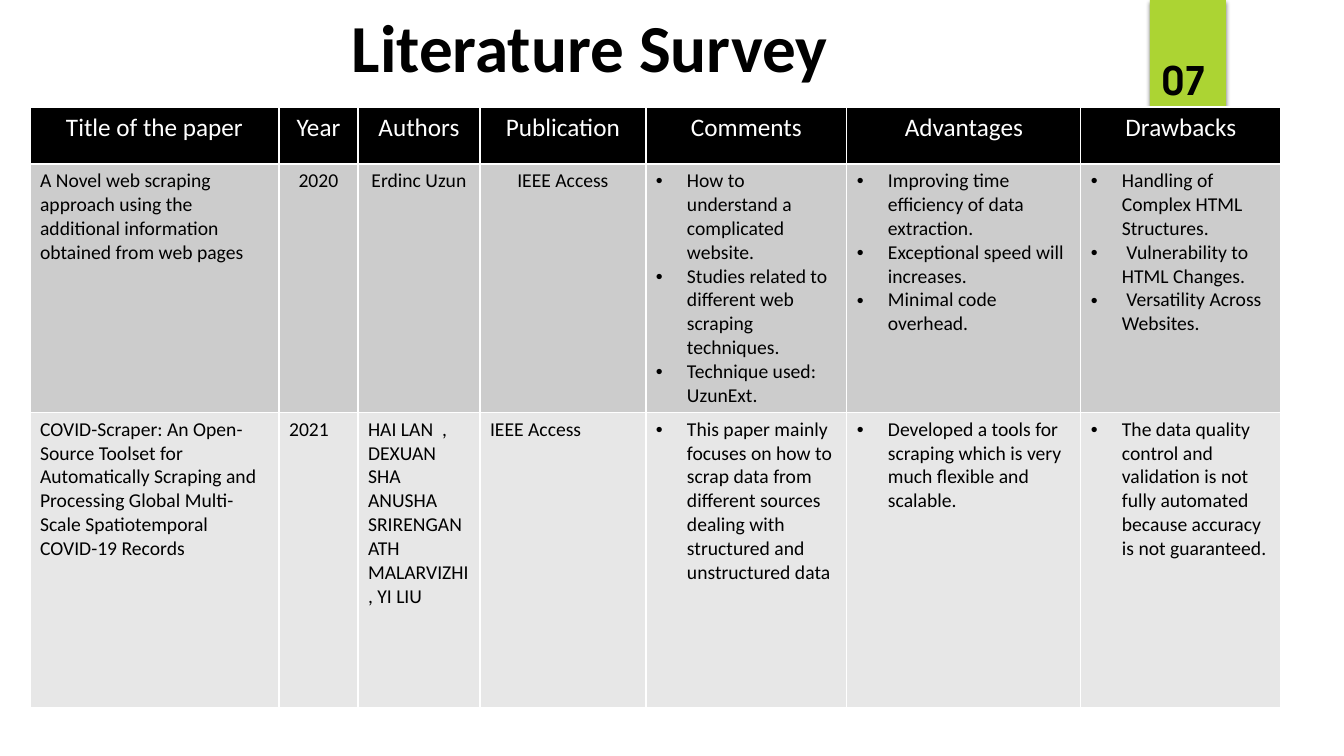
from lxml.etree import SubElement as Sub
from pptx import Presentation
from pptx.dml.color import RGBColor
from pptx.enum.shapes import MSO_SHAPE as Shape
from pptx.enum.text import PP_ALIGN as Align
from pptx.oxml import parse_xml
from pptx.oxml.ns import nsdecls, qn
from pptx.util import Inches, Pt

SCALE = Inches(1) / 100.8


def px(*nums):
    return [round(n * SCALE) for n in nums]


def color(code):
    return RGBColor.from_string(code)


deck = Presentation()
deck.slide_width, deck.slide_height = px(1344, 756)
slide = deck.slides.add_slide(deck.slide_layouts[6])

tab = slide.shapes.add_shape(Shape.RECTANGLE, *px(1150, 0, 76, 126))
tab.fill.solid()
tab.fill.fore_color.rgb = color("ACD433")
tab.line.fill.background()
tab.shadow.inherit = False
tab.element.spPr.find(qn("a:effectLst")).append(parse_xml(
    f'<a:outerShdw {nsdecls("a")} blurRad="38100" dist="25400" dir="5400000" rotWithShape="0">'
    '<a:srgbClr val="000000"><a:alpha val="45000"/></a:srgbClr></a:outerShdw>'))

head = ["Title of the paper", "Year", "Authors", "Publication",
        "Comments", "Advantages", "Drawbacks"]
novel = [
    "A Novel web scraping approach using the additional information obtained from web pages",
    "2020", "Erdinc Uzun", "IEEE Access",
    ["How to understand a complicated website.",
     "Studies related to different web scraping techniques.",
     "Technique used: UzunExt."],
    ["Improving time efficiency of data extraction.",
     "Exceptional speed will increases.",
     "Minimal code overhead."],
    ["Handling of Complex HTML Structures.",
     " Vulnerability to HTML Changes.",
     " Versatility Across Websites."],
]
covid = [
    "COVID-Scraper: An Open-Source Toolset for Automatically Scraping and Processing "
    "Global Multi-Scale Spatiotemporal COVID-19 Records",
    "2021", "HAI LAN  , DEXUAN SHA ANUSHA SRIRENGANATH MALARVIZHI, YI LIU", "IEEE Access",
    ["This paper mainly focuses on how to scrap data from different sources "
     "dealing with structured and unstructured data"],
    ["Developed a tools for scraping which is very much flexible and scalable."],
    ["The data quality control and validation is not fully automated "
     "because accuracy is not guaranteed."],
]
rows = [
    (head, 57, 18, "FFFFFF", "000000", range(7)),
    (novel, 248, 14, "000000", "CCCCCC", range(1, 4)),
    (covid, 295, 14, "000000", "E7E7E7", []),
]
widths = [249, 79, 122, 166, 201, 234, 200]

table = slide.shapes.add_table(3, 7, *px(30, 107, sum(widths), 600)).table
for col, width in zip(table.columns, px(*widths)):
    col.width = width

for r, (texts, height, size, ink, fill, mid) in enumerate(rows):
    table.rows[r].height = px(height)[0]
    for c, text in enumerate(texts):
        cell = table.cell(r, c)
        cell.fill.solid()
        cell.fill.fore_color.rgb = color(fill)
        list_cell = isinstance(text, list)
        cell.text = "\n".join(text) if list_cell else text
        for para in cell.text_frame.paragraphs:
            para.alignment = Align.CENTER if c in mid else Align.LEFT
            if list_cell:
                props = para._p.get_or_add_pPr()
                indent = px(31)[0]
                props.set("marL", str(indent))
                props.set("indent", str(-indent))
                Sub(props, qn("a:buFont"), typeface="Arial")
                Sub(props, qn("a:buChar"), char="•")
            para.font.name = "Calibri"
            para.font.size = Pt(size)
            para.font.bold = False
            para.font.color.rgb = color(ink)

labels = [
    ("Literature Survey", (71, 0, 1038, 154), 48, "Calibri", Align.CENTER),
    ("07", (1153, 51, 84, 57), 28, "TeX Gyre Adventor", Align.LEFT),
]
for text, place, size, face, align in labels:
    frame = slide.shapes.add_textbox(*px(*place)).text_frame
    frame.word_wrap = True
    frame.text = text
    para = frame.paragraphs[0]
    para.alignment = align
    para.font.name = face
    para.font.size = Pt(size)
    para.font.bold = True
    para.font.color.rgb = color("000000")

deck.save("out.pptx")
